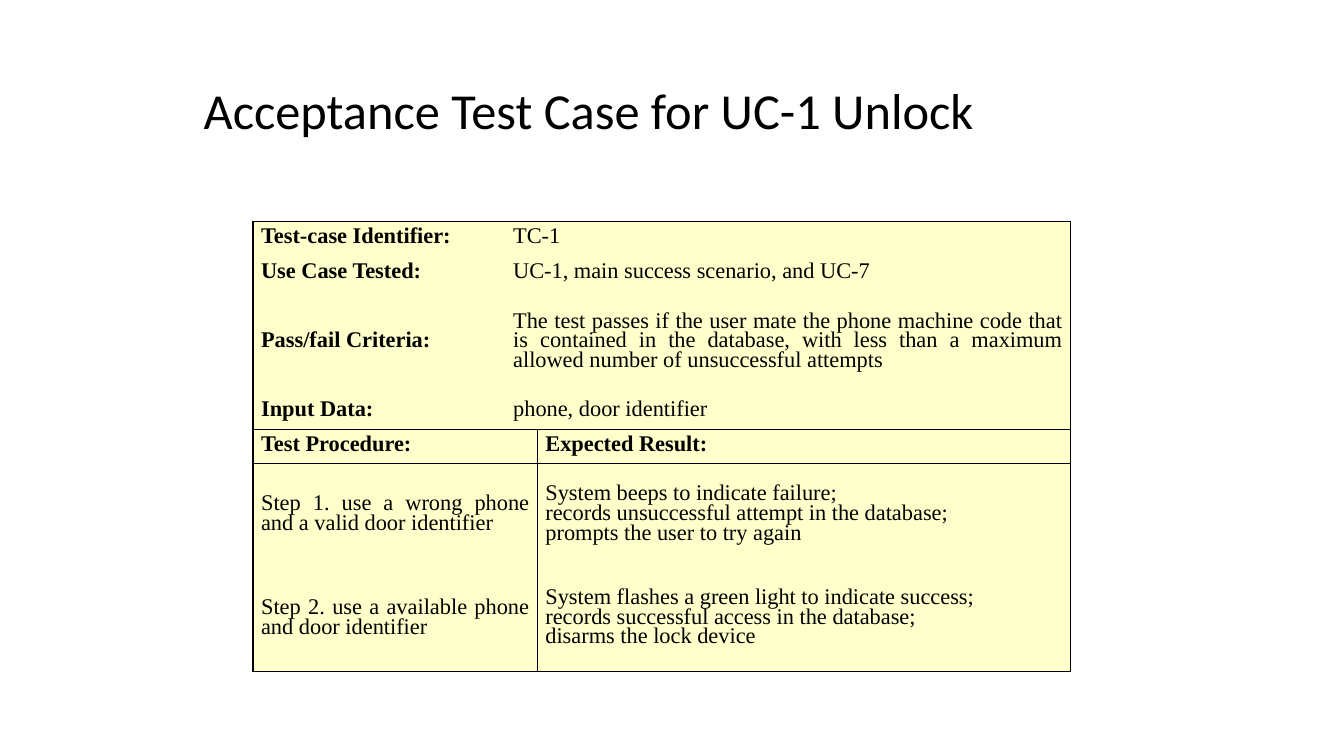
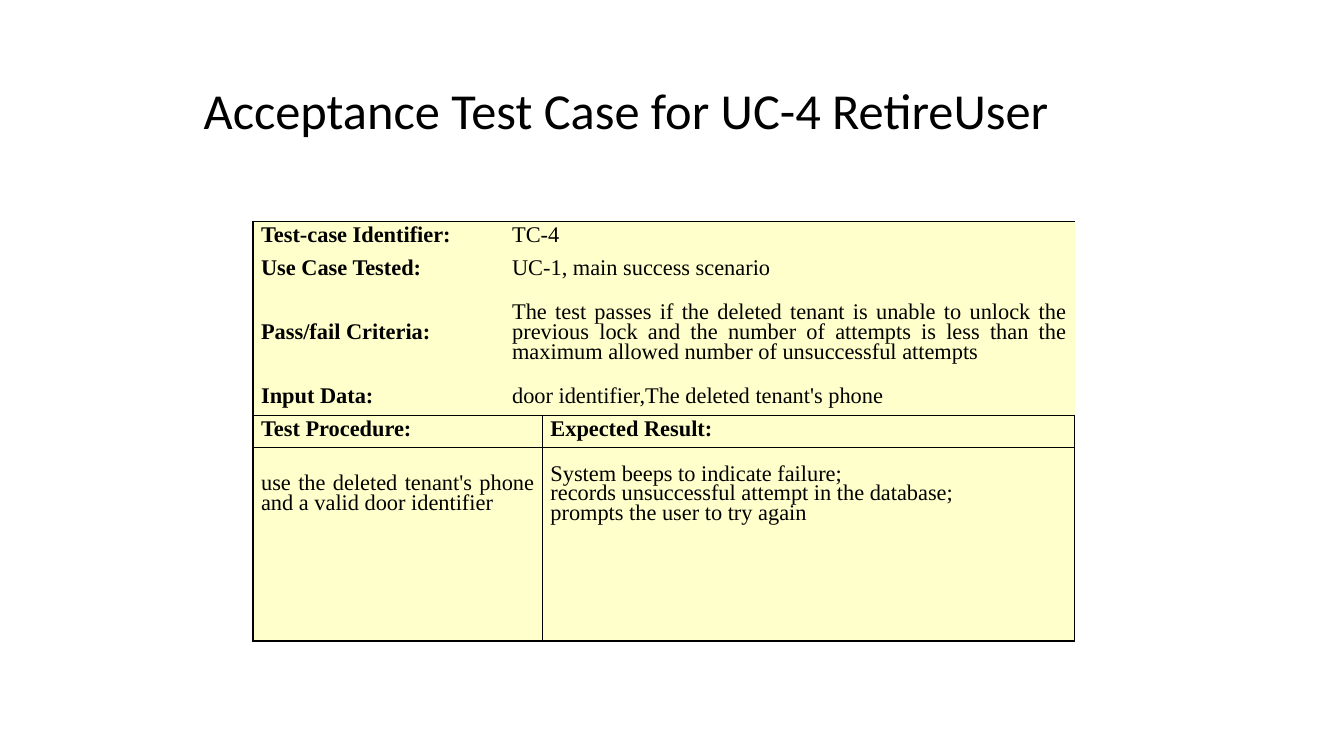
from dataclasses import dataclass

from lxml import etree
from pptx import Presentation
from pptx.dml.color import RGBColor
from pptx.enum import text as t
from pptx.oxml import ns
from pptx.util import Inches, Pt


@dataclass(frozen=True)
class Theme:
    ink: str = "000000"
    cell: str = "FFFFCC"
    title_font: str = "Calibri"
    table_font: str = "Times New Roman"
    title_size: int = 36
    table_size: int = 16
    border: float = 1


THEME = Theme()
JUSTIFY, LEFT = t.PP_ALIGN.JUSTIFY, t.PP_ALIGN.LEFT
HEADER_ROW = 4  # field rows above, test steps below
HEADER = ("Test Procedure:", "Expected Result:")
FIELDS = ("Test-case Identifier:", "Use Case Tested:",
          "Pass/fail Criteria:", "Input Data:")

# Content of each test case
UNLOCK = dict(
    title="Acceptance Test Case for UC-1 Unlock",
    cols=(2.5, 0.32, 5.29), unit=0.343, closed_right=True,
    values=("TC-1", "UC-1, main success scenario, and UC-7",
            "The test passes if the user mate the phone machine code that is "
            "contained in the database, with less than a maximum allowed "
            "number of unsuccessful attempts",
            "phone, door identifier"),
    steps=(("Step 1. use a wrong phone and a valid door identifier",
            "System beeps to indicate failure;\n"
            "records unsuccessful attempt in the database;\n"
            "prompts the user to try again"),
           ("Step 2. use a available phone and door identifier",
            "System flashes a green light to indicate success;\n"
            "records successful access in the database;\n"
            "disarms the lock device")))
RETIRE_USER = dict(
    title="Acceptance Test Case for UC-4 RetireUser",
    cols=(2.49, 0.38, 5.28), unit=0.32, closed_right=False,
    values=("TC-4", "UC-1, main success scenario",
            "The test passes if the deleted tenant is unable to unlock the "
            "previous lock and the number of attempts is less than the "
            "maximum allowed number of unsuccessful attempts",
            "door identifier,The deleted tenant's phone"),
    steps=(("use the deleted tenant's phone and a valid door identifier",
            "System beeps to indicate failure;\n"
            "records unsuccessful attempt in the database;\n"
            "prompts the user to try again"),
           ("", "")))


def write(tf, text, *, font, size, bold=False, align=LEFT, spacing=None, before=0):
    """Write one paragraph; a newline becomes a line break."""
    p = tf.paragraphs[0]
    p.alignment, p.line_spacing, p.space_before = align, spacing, Pt(before)
    for i, line in enumerate(text.split("\n")):
        if i:
            p.add_line_break()
        r = p.add_run()
        r.text = line
        r.font.name, r.font.size, r.font.bold = font, Pt(size), bold
        r.font.color.rgb = RGBColor.from_string(THEME.ink)


def add_title(s, text):
    box = s.shapes.add_textbox(Inches(0.92), Inches(0.4), Inches(11.5), Inches(1.45))
    tf = box.text_frame
    tf.word_wrap = True
    tf.vertical_anchor = t.MSO_ANCHOR.MIDDLE
    tf.margin_left = Inches(1.1)
    write(tf, text, font=THEME.title_font, size=THEME.title_size, spacing=0.9)


def style_cell(cell, edges):
    """Draw the named edges (from L, R, T, B), hide the others, then fill."""
    tc_pr = cell._tc.get_or_add_tcPr()
    for edge in "LRTB":
        ln = etree.SubElement(tc_pr, ns.qn("a:ln" + edge), w=str(Pt(THEME.border)))
        if edge in edges:
            fill = etree.SubElement(ln, ns.qn("a:solidFill"))
            etree.SubElement(fill, ns.qn("a:srgbClr"), val=THEME.ink)
        else:
            etree.SubElement(ln, ns.qn("a:noFill"))
    cell.fill.solid()
    cell.fill.fore_color.rgb = RGBColor.from_string(THEME.cell)
    cell.vertical_anchor = t.MSO_ANCHOR.MIDDLE
    cell.margin_left = cell.margin_right = Inches(0.08)
    cell.margin_top = cell.margin_bottom = 0


def cell_edges(row, side, last_row, closed_right):
    """Borders of the left (0) or right (1) cell of a row."""
    boxed = row >= HEADER_ROW
    edges = set()
    if side == 0 or boxed:
        edges.add("L")
    if boxed or (side == 1 and closed_right):
        edges.add("R")
    if row in (0, HEADER_ROW, HEADER_ROW + 1):
        edges.add("T")
    if row in (HEADER_ROW - 1, HEADER_ROW, last_row):
        edges.add("B")
    return edges


def add_test_table(s, *, cols, unit, closed_right, values, steps):
    rows = [*zip(FIELDS, values), HEADER, *steps]
    # The criteria and the steps take three times the height of the other rows
    heights = [unit * (3 if i == 2 or i > HEADER_ROW else 1) for i in range(len(rows))]
    frame = s.shapes.add_table(len(rows), len(cols), Inches(2.51), Inches(2.2),
                               Inches(sum(cols)), Inches(sum(heights)))
    table = frame.table
    table.first_row = table.horz_banding = False
    for column, width in zip(table.columns, cols):
        column.width = Inches(width)

    for i, pair in enumerate(rows):
        table.rows[i].height = Inches(heights[i])
        spans = ((0, 0), (1, 2)) if i < HEADER_ROW else ((0, 1), (2, 2))
        for side, (first, last) in enumerate(spans):
            edges = cell_edges(i, side, len(rows) - 1, closed_right)
            cell = table.cell(i, first)
            if last > first:
                cell.merge(table.cell(i, last))
                style_cell(table.cell(i, last), edges - {"L"})
            style_cell(cell, edges)
            if pair[side]:
                is_result = i > HEADER_ROW and side == 1
                write(cell.text_frame, pair[side],
                      font=THEME.table_font, size=THEME.table_size,
                      bold=i == HEADER_ROW or (i < HEADER_ROW and side == 0),
                      align=LEFT if is_result else JUSTIFY,
                      spacing=Pt(14), before=6)


def add_test_slide(prs, *, title, **table):
    s = prs.slides.add_slide(prs.slide_layouts[6])
    add_title(s, title)
    add_test_table(s, **table)


def main():
    prs = Presentation()
    prs.slide_width, prs.slide_height = Inches(13.33), Inches(7.5)
    for case in (UNLOCK, RETIRE_USER):
        add_test_slide(prs, **case)
    prs.save("out.pptx")


main()
